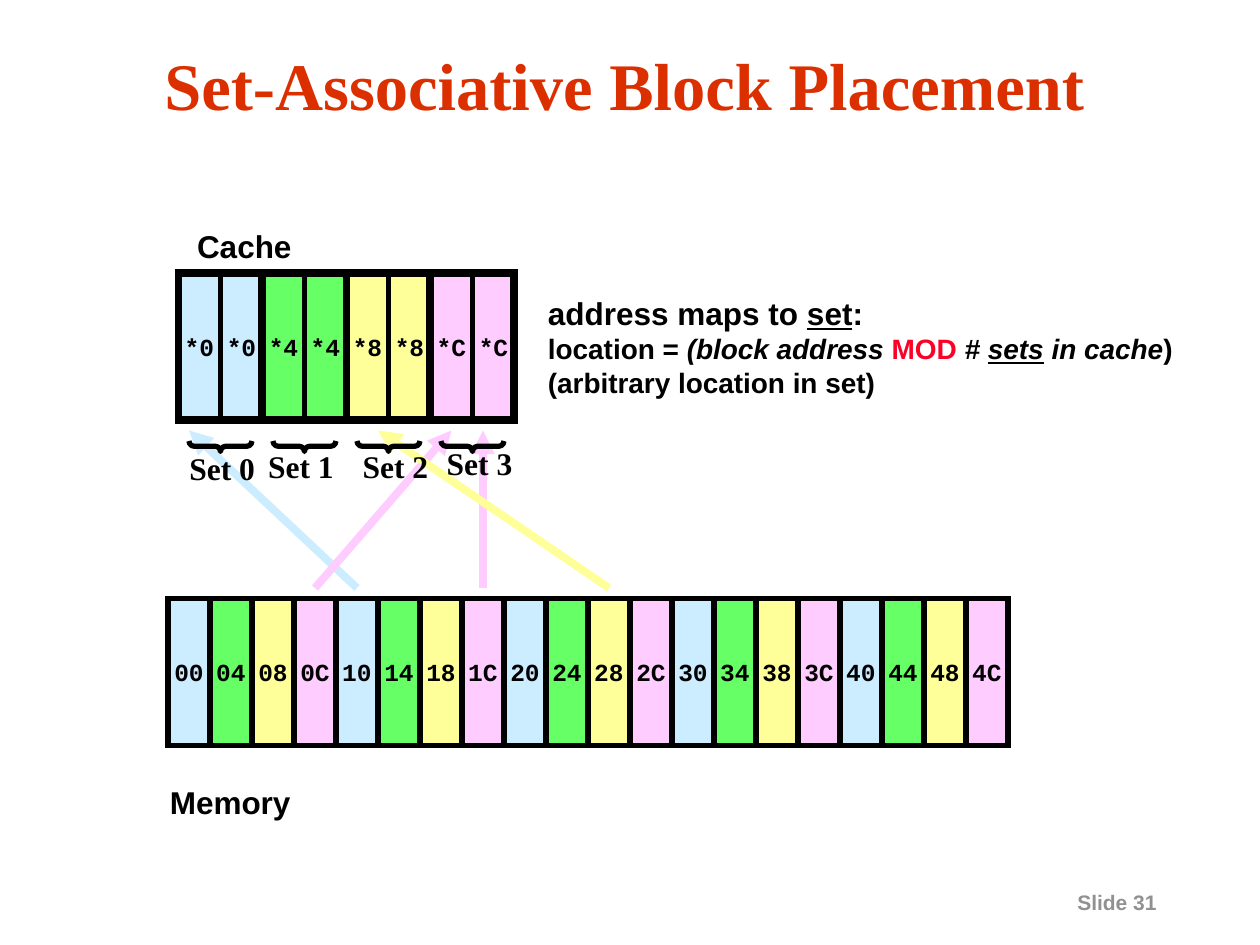
import pptx
import pptx.util
import pptx.dml.color
import pptx.enum.shapes
import pptx.enum.text
import pptx.oxml.ns
import lxml.etree

Pt = pptx.util.Pt
SHAPE = pptx.enum.shapes.MSO_SHAPE
ALIGN = pptx.enum.text.PP_ALIGN
ANCHOR = pptx.enum.text.MSO_ANCHOR

COLORS = {
    "black": "000000",
    "title": "DC2F00",
    "grey": "919191",
    "red": "FC0128",
    "blue": "CCECFF",
    "green": "66FF66",
    "yellow": "FFFF99",
    "pink": "FFCCFF",
}
SET_COLORS = ["blue", "green", "yellow", "pink"]
CELL_W, CELL_H = 24, 84
SET_W = 2 * CELL_W
CACHE_X, CACHE_Y = 102, 156
MEMORY_X, MEMORY_Y = 96, 342


def rgb(name):
    return pptx.dml.color.RGBColor.from_string(COLORS[name])


def add_run(p, text, size, font="Arial", color="black", italic=False, underline=False):
    r = p.add_run()
    r.text = text
    r.font.size = Pt(size)
    r.font.name = font
    r.font.bold = True
    r.font.italic = italic
    r.font.underline = underline
    r.font.color.rgb = rgb(color)


def add_text(s, box, align=ALIGN.LEFT, wrap=False, anchor=ANCHOR.MIDDLE):
    tf = s.shapes.add_textbox(*map(Pt, box)).text_frame
    tf.word_wrap = wrap
    tf.vertical_anchor = anchor
    tf.paragraphs[0].alignment = align
    return tf


def add_label(s, box, text, size=18, font="Arial", color="black", **layout):
    p = add_text(s, box, **layout).paragraphs[0]
    add_run(p, text, size, font, color)
    return p


def add_outline(s, preset, box, width, fill=None):
    sp = s.shapes.add_shape(preset, *map(Pt, box))
    sp.shadow.inherit = False
    if fill:
        sp.fill.solid()
        sp.fill.fore_color.rgb = rgb(fill)
    else:
        sp.fill.background()
    sp.line.color.rgb = rgb("black")
    sp.line.width = Pt(width)
    return sp


def add_box(s, box, width, fill=None):
    sp = add_outline(s, SHAPE.RECTANGLE, box, width, fill)
    miter = lxml.etree.SubElement(sp.line._get_or_add_ln(), pptx.oxml.ns.qn("a:miter"))
    miter.set("lim", "800000")
    return sp


def add_cell(s, x, y, text, fill):
    tf = add_box(s, (x, y, CELL_W, CELL_H), 3, fill).text_frame
    tf.word_wrap = False
    tf.vertical_anchor = ANCHOR.MIDDLE
    p = tf.paragraphs[0]
    p.alignment = ALIGN.CENTER
    add_run(p, text, 14, "Courier New")


def add_arrow(s, block, target_x, color):
    x = MEMORY_X + (block + 0.5) * CELL_W
    c = s.shapes.add_connector(
        pptx.enum.shapes.MSO_CONNECTOR.STRAIGHT, Pt(x), Pt(336), Pt(target_x), Pt(246)
    )
    c.line.color.rgb = rgb(color)
    c.line.width = Pt(4.5)
    qn = pptx.oxml.ns.qn
    lxml.etree.SubElement(c.line._get_or_add_ln(), qn("a:tailEnd")).set("type", "triangle")
    lxml.etree.SubElement(c._element.spPr, qn("a:effectLst"))


def add_brace(s, center_x):
    w, h, center_y = 6, 36, 255
    box = (center_x - w / 2, center_y - h / 2, w, h)
    sp = add_outline(s, SHAPE.LEFT_BRACE, box, 3)
    sp.adjustments[0] = 0.5
    sp.rotation = 270


def add_memory(s):
    for i in range(20):
        x = MEMORY_X + i * CELL_W
        add_cell(s, x, MEMORY_Y, f"{4 * i:02X}", SET_COLORS[i % 4])


def add_cache(s):
    for i in range(8):
        k = i // 2
        add_cell(s, CACHE_X + i * CELL_W, CACHE_Y, f"*{4 * k:X}", SET_COLORS[k])


def add_sets(s):
    labels = [(100, 253), (145, 252), (199, 251.5), (247, 250)]
    for k, (x, y) in enumerate(labels):
        left = CACHE_X + k * SET_W
        add_box(s, (left, CACHE_Y, SET_W, CELL_H), 4.5)
        add_brace(s, left + SET_W / 2)
        add_label(s, (x, y, 54, 29), f"Set {k}", font="Times New Roman", align=ALIGN.CENTER)


def add_mapping_rule(s):
    tf = add_text(s, (306, 164, 414, 68), wrap=True)
    p = tf.paragraphs[0]
    add_run(p, "address maps to ", 18)
    add_run(p, "set", 18, underline=True)
    add_run(p, ":", 18)
    p = tf.add_paragraph()
    add_run(p, "location = ", 16)
    add_run(p, "(block address ", 16, italic=True)
    add_run(p, "MOD", 16, color="red")
    add_run(p, " # ", 16, italic=True)
    add_run(p, "sets", 16, italic=True, underline=True)
    add_run(p, " in cache", 16, italic=True)
    add_run(p, ")", 16)
    p.add_line_break()
    add_run(p, "(arbitrary location in set)", 16)


def main():
    prs = pptx.Presentation()
    prs.slide_width, prs.slide_height = Pt(720), Pt(540)
    s = prs.slides.add_slide(prs.slide_layouts[6])
    add_label(s, (608.5, 505, 104, 22), "Slide 31", 12, color="grey", anchor=ANCHOR.TOP)
    p = add_label(s, (18, 24, 678, 54), "Set-Associative Block Placement", 38,
                  "Times New Roman", "title", align=ALIGN.CENTER, wrap=True)
    p.line_spacing = 0.9
    add_memory(s)
    add_label(s, (105.5, 126, 74, 29), "Cache")
    add_label(s, (90, 444, 88, 29), "Memory")
    add_arrow(s, 7, 276, "pink")
    add_arrow(s, 4, 108, "blue")
    add_arrow(s, 3, 258, "pink")
    add_arrow(s, 10, 216, "yellow")
    add_cache(s)
    add_sets(s)
    add_mapping_rule(s)
    prs.save("out.pptx")


if __name__ == "__main__":
    main()
